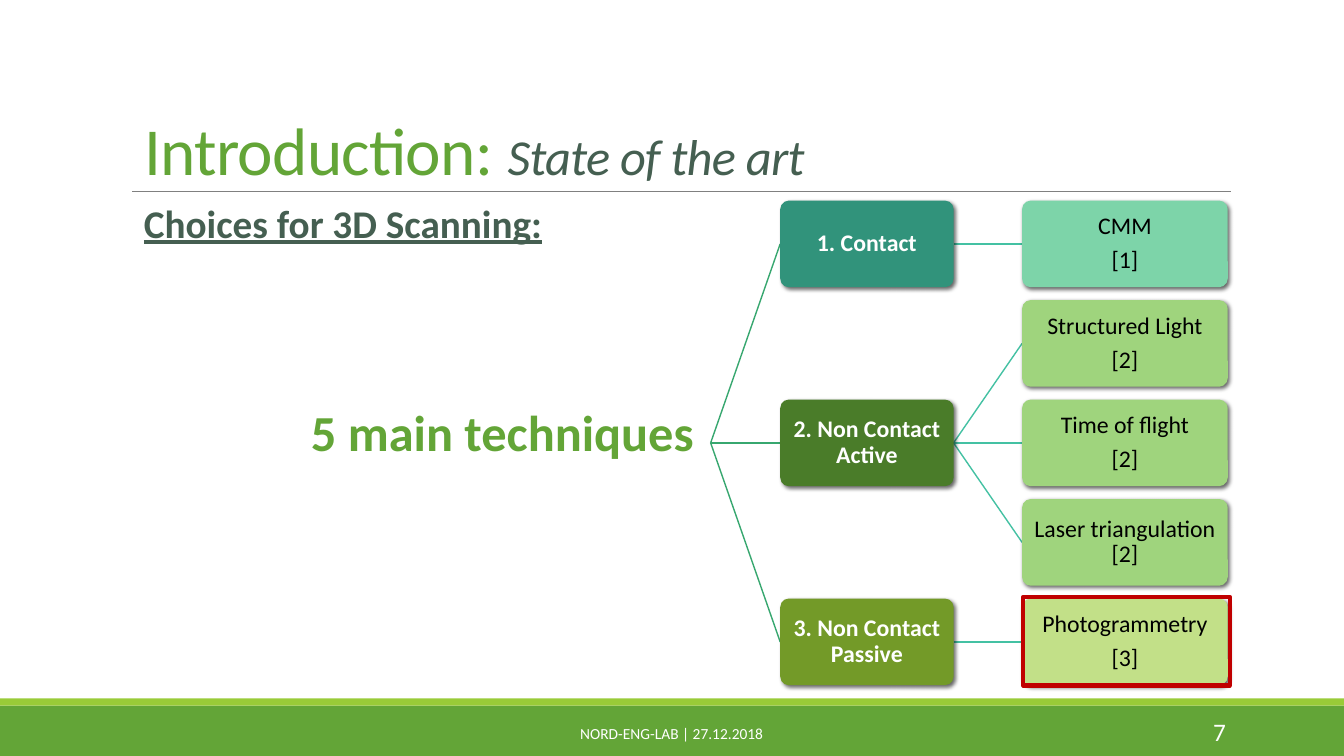
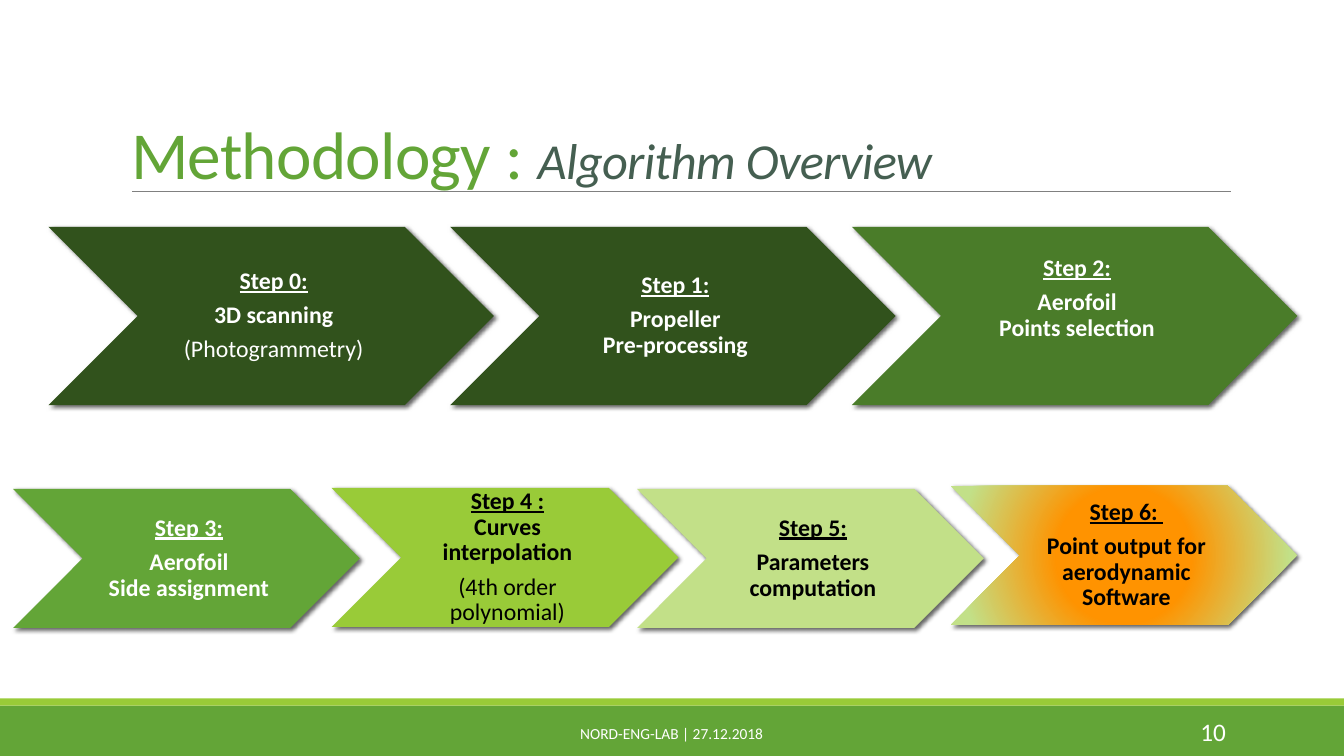
"""Build two slides: a tree of scanning techniques and a chain of algorithm steps."""
from lxml.etree import SubElement
from pptx import Presentation
from pptx.dml.color import RGBColor
from pptx.enum.shapes import MSO_CONNECTOR, MSO_SHAPE
from pptx.enum.text import MSO_ANCHOR, MSO_AUTO_SIZE, PP_ALIGN
from pptx.oxml import parse_xml
from pptx.oxml.ns import nsdecls, qn
from pptx.util import Inches, Pt


class Theme:
    font = "Calibri"
    green, lime, pale = "63A537", "99CB38", "C2E088"
    deep, moss, olive = "31521C", "4A7C29", "739A28"
    teal, mint, leaf = "31937B", "7DD4A9", "9FD47D"
    stem, twig, rule = "37A76F", "44C1A3", "808080"
    slate, white, black = "455F51", "FFFFFF", "000000"
    red, orange = "C00000", "FF9300"
    title, sub, lead, page, body, foot = 48, 36, 28, 18, 17, 11


UNIT = Inches(0.1)
WIDE, HIGH = 133.33, 75
LEFT, MID, RIGHT = PP_ALIGN.LEFT, PP_ALIGN.CENTER, PP_ALIGN.RIGHT


def write(shape, paras, size=Theme.body, color=Theme.black, bold=False, align=MID,
          anchor=MSO_ANCHOR.MIDDLE, pad=(1, 0.5, 1, 0.5), line=0.9, after=0, track=0):
    """Fill a shape with paragraphs, each a string or a list of (text, look) runs."""
    frame = shape.text_frame
    frame.word_wrap, frame.auto_size = True, MSO_AUTO_SIZE.NONE
    frame.vertical_anchor = anchor
    (frame.margin_left, frame.margin_top,
     frame.margin_right, frame.margin_bottom) = [int(n * UNIT) for n in pad]
    for rank, runs in enumerate(paras):
        para = frame.add_paragraph() if rank else frame.paragraphs[0]
        para.alignment, para.line_spacing = align, line
        para.space_before, para.space_after = Pt(0), Pt(after)
        for text, look in [(runs, {})] if isinstance(runs, str) else runs:
            for part, words in enumerate(text.split("\n")):
                if part:
                    para.add_line_break()
                if not words:
                    continue
                run = para.add_run()
                run.text, font = words, run.font
                font.name, font.size = Theme.font, Pt(look.get("size", size))
                font.bold = look.get("bold", bold)
                font.italic = look.get("italic", False)
                font.underline = look.get("under", False)
                font.color.rgb = RGBColor.from_string(look.get("color", color))
                if track:
                    font._element.set("spc", str(track))


def block(slide, kind, at, fill=None, shade=False):
    """Add a text box, or a preset shape with a plain fill and maybe a shadow."""
    at = [int(n * UNIT) for n in at]
    if kind is None:
        return slide.shapes.add_textbox(*at)
    shape = slide.shapes.add_shape(kind, *at)
    shape.line.fill.background()
    shape.shadow.inherit = False
    if fill:
        shape.fill.solid()
        shape.fill.fore_color.rgb = RGBColor.from_string(fill)
    else:
        shape.fill.background()
    if shade:
        glow = SubElement(shape.element.spPr.find(qn("a:effectLst")), qn("a:outerShdw"),
                          blurRad=str(Pt(3)), dist=str(Pt(2)), dir="2700000",
                          algn="ctr", rotWithShape="0")
        ink = SubElement(glow, qn("a:srgbClr"), val=Theme.black)
        SubElement(ink, qn("a:alpha"), val="60000")
    return shape


deck = Presentation()
deck.slide_width, deck.slide_height = int(WIDE * UNIT), HIGH * UNIT
heads = [
    ("Introduction: ", "State of the art", (13.3, 4.8, 108.7, 14.5), "7"),
    ("Methodology : ", "Algorithm Overview", (12, 0, 110.6, 19.7), "10"),
]
slides = []
for main, sub, at, page in heads:
    slide = deck.slides.add_slide(deck.slide_layouts[5])
    title = slide.shapes.title
    title.left, title.top, title.width, title.height = [int(n * UNIT) for n in at]
    write(title, [[(main, {}), (sub, {"size": Theme.sub, "color": Theme.slate, "italic": True})]],
          size=Theme.title, color=Theme.green, align=LEFT, anchor=MSO_ANCHOR.BOTTOM,
          line=0.85, track=-50)
    write(block(slide, None, (108.3, 70.6, 14.3, 4)), [page],
          size=Theme.page, color=Theme.white, align=RIGHT, line=1)
    write(block(slide, None, (40.3, 70.8, 52.7, 4)), ["NORD-ENG-LAB | 27.12.2018"],
          size=Theme.foot, color=Theme.white, line=1)
    slides.append(slide)
tree, chain = slides

lines = [(tree, 13.1, 19, 122.1, 19, Theme.rule, 0.5)]
bands = [block(tree, MSO_SHAPE.RECTANGLE, (0, 70, WIDE, 5), Theme.green),
         block(tree, MSO_SHAPE.RECTANGLE, (0, 69.3, WIDE, 0.7), Theme.lime)]

TOP, STEP, TALL = 19.9, 9.87, 8.6
ROOT, NODE, LEAF = 70.5, 77.4, 101.4
NODEW, LEAFW = 17.2, 20.4
groups = [
    ("1. Contact", 0, Theme.teal, Theme.mint, [(0, ["CMM", "[1]"])]),
    ("2. Non Contact Active", 2, Theme.moss, Theme.leaf,
     [(1, ["Structured Light", "[2]"]), (2, ["Time of flight", "[2]"]),
      (3, ["Laser triangulation [2]"])]),
    ("3. Non Contact Passive", 4, Theme.olive, Theme.pale, [(4, ["Photogrammetry", "[3]"])]),
]
cards = []
for name, row, dark, light, leaves in groups:
    cards.append((NODE, NODEW, row, dark, [name], Theme.white, True))
    heart = TOP + row * STEP + TALL / 2
    lines.append((tree, ROOT, TOP + 2 * STEP + TALL / 2, NODE, heart, Theme.stem, 1))
    for spot, paras in leaves:
        cards.append((LEAF, LEAFW, spot, light, paras, Theme.black, False))
        lines.append((tree, NODE + NODEW, heart, LEAF, TOP + spot * STEP + TALL / 2,
                      Theme.twig, 1))

for slide, *ends, color, width in lines:
    link = slide.shapes.add_connector(MSO_CONNECTOR.STRAIGHT, *[int(n * UNIT) for n in ends])
    link.line.color.rgb = RGBColor.from_string(color)
    link.line.width = Pt(width)
    SubElement(link.element.spPr, qn("a:effectLst"))
    if color == Theme.rule:
        bands.append(link)

master = deck.slide_master.shapes.element
for mark, band in enumerate(bands, 100):
    band.element.xpath(".//p:cNvPr")[0].set("id", str(mark))
    master.append(band.element)

for left, width, row, fill, paras, color, bold in cards:
    card = block(tree, MSO_SHAPE.ROUNDED_RECTANGLE, (left, TOP + row * STEP, width, TALL),
                 fill, shade=True)
    card.adjustments[0] = 0.1
    write(card, paras, color=color, bold=bold, pad=[0.1] * 4, after=6)

write(block(tree, None, (24.2, 40, 51.3, 7.8)), ["5 main techniques"],
      size=Theme.sub, color=Theme.green, bold=True, anchor=MSO_ANCHOR.TOP)
write(block(tree, None, (13.3, 19.8, 93.3, 5.3)),
      [[("Choices for 3D Scanning:", {"under": True})]],
      size=Theme.lead, color=Theme.slate, bold=True, align=LEFT, anchor=MSO_ANCHOR.TOP)
frame = block(tree, MSO_SHAPE.RECTANGLE, (101.5, 59.2, 20.5, 8.8))
frame.line.color.rgb = RGBColor.from_string(Theme.red)
frame.line.width = Pt(3)

under, plain = {"under": True}, {"bold": False}
big, small = (44.2, 17.7), (34.4, 13.8)
first, pitch = 4.8, 39.85
steps = [
    (first, 22.5, big, Theme.deep, Theme.white, 0.2,
     [[("Step 0:", under)], "3D scanning", [("(Photogrammetry)", plain)]]),
    (first + pitch, 22.5, big, Theme.deep, Theme.white, 0.2,
     [[("Step 1:", under)], "Propeller\nPre-processing"]),
    (first + 2 * pitch, 22.5, big, Theme.moss, Theme.white, 3.6,
     [[("Step 2:", under)], "Aerofoil\nPoints selection"]),
    (1.3, 48.5, small, Theme.green, Theme.white, 0.2,
     [[("Step 3:", under)], "Aerofoil\nSide assignment"]),
    (32.9, 48.4, small, Theme.lime, Theme.black, 0.2,
     [[("Step 4 :", under), ("\nCurves interpolation", {})],
      [("(4th order polynomial)", plain)]]),
    (63.2, 48.5, small, Theme.pale, Theme.black, 0.2,
     [[("Step 5:", under)], "Parameters computation"]),
    (94.3, 48.2, small, Theme.pale, Theme.black, 0.2,
     [[("Step 6: ", under)], "Point output for aerodynamic Software"]),
]
for left, top, size, fill, color, base, paras in steps:
    arrow = block(chain, MSO_SHAPE.CHEVRON, (left, top, *size), fill, shade=True)
    write(arrow, paras, color=color, bold=True, pad=(0.7, 0.2, 0.2, base), after=6)

stops = "".join(f'<a:gs pos="{share}000"><a:srgbClr val="{color}"/></a:gs>'
                for share, color in [(36, Theme.orange), (89, Theme.pale),
                                     (94, Theme.pale), (100, Theme.pale)])
blend = parse_xml(f'<a:gradFill {nsdecls("a")} rotWithShape="1"><a:gsLst>{stops}</a:gsLst>'
                  '<a:path path="circle"><a:fillToRect l="100000" t="100000" '
                  'r="100000" b="100000"/></a:path></a:gradFill>')
skin = arrow.element.spPr
skin.replace(skin.find(qn("a:solidFill")), blend)

deck.save("out.pptx")
